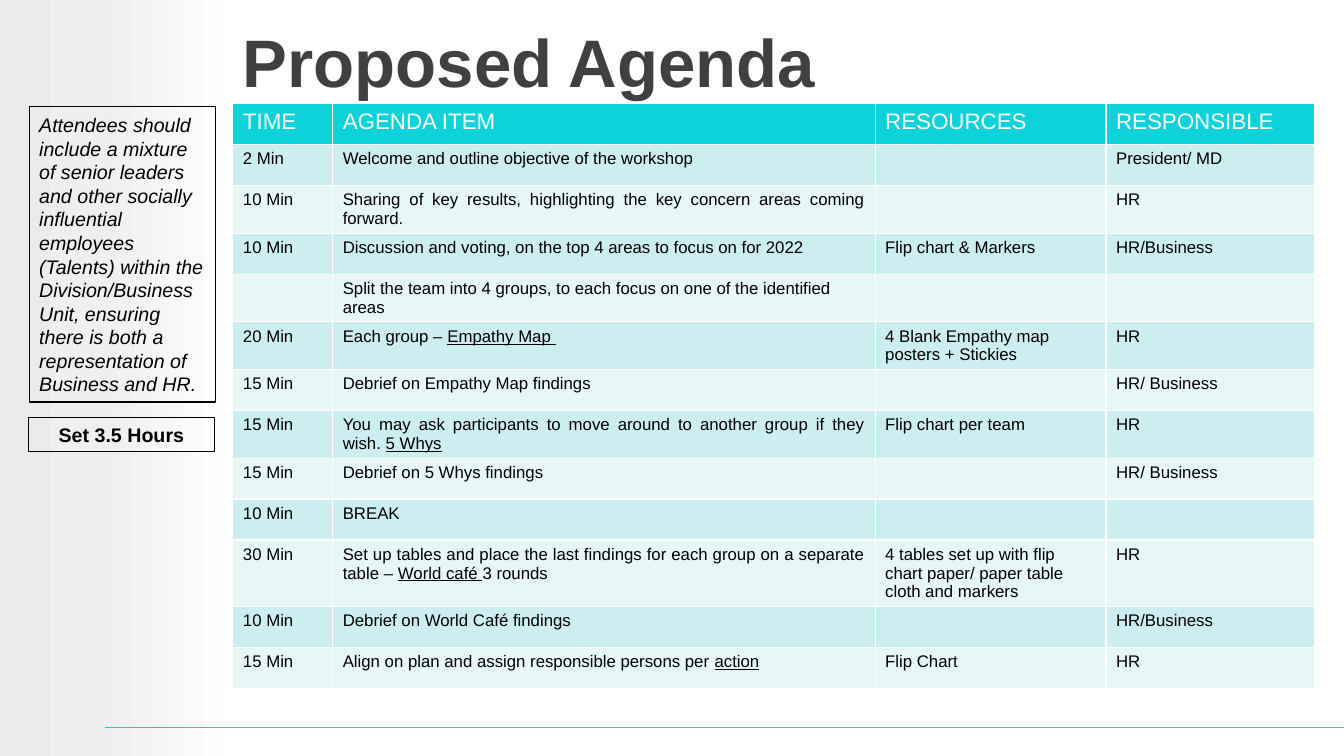
from pptx import Presentation
from pptx.util import Inches, Pt
from pptx.dml.color import RGBColor
from pptx.enum.shapes import MSO_CONNECTOR, MSO_SHAPE
from pptx.enum.text import MSO_ANCHOR, MSO_AUTO_SIZE, PP_ALIGN
from pptx.oxml import parse_xml
from pptx.oxml.ns import nsdecls
from copy import deepcopy

LEFT, CENTER, JUSTIFY = PP_ALIGN.LEFT, PP_ALIGN.CENTER, PP_ALIGN.JUSTIFY
WHITE = RGBColor(0xFF, 0xFF, 0xFF)
BLACK = RGBColor(0, 0, 0)
DARK = RGBColor(0x40, 0x40, 0x40)
TEAL = RGBColor(0x0D, 0xD2, 0xD9)
BANDS = [RGBColor(0xE7, 0xF7, 0xF8), RGBColor(0xCC, 0xEE, 0xF1)]
GRAYS = [(0, RGBColor(0xEB, 0xEB, 0xEB)),
         (0.42, RGBColor(0xEF, 0xEF, 0xEF)),
         (1, WHITE)]

# Underlined words stand between underscores
AGENDA = [
    ("TIME", "AGENDA ITEM", "RESOURCES", "RESPONSIBLE"),
    ("2 Min", "Welcome and outline objective of the workshop", "", "President/ MD"),
    ("10 Min", "Sharing of key results, highlighting the key concern areas coming forward.",
     "", "HR"),
    ("10 Min", "Discussion and voting, on the top 4 areas to focus on for 2022",
     "Flip chart & Markers", "HR/Business"),
    ("", "Split the team into 4 groups, to each focus on one of the identified areas", "", ""),
    ("20 Min", "Each group – _Empathy Map _", "4 Blank Empathy map posters + Stickies", "HR"),
    ("15 Min", "Debrief on Empathy Map findings", "", "HR/ Business"),
    ("15 Min", "You may ask participants to move around to another group if they wish. _5 Whys_",
     "Flip chart per team", "HR"),
    ("15 Min", "Debrief on 5 Whys findings", "", "HR/ Business"),
    ("10 Min", "BREAK", "", ""),
    ("30 Min", "Set up tables and place the last findings for each group on a separate table – "
     "_World café _3 rounds",
     "4 tables set up with flip chart paper/ paper table cloth and markers", "HR"),
    ("10 Min", "Debrief on World Café findings", "", "HR/Business"),
    ("15 Min", "Align on plan and assign responsible persons per _action_", "Flip Chart", "HR"),
]
SPLIT_ROW = 4
WIDTHS = [0.99, 5.38, 2.29, 2.07]
ROW = Inches(5.27 / len(AGENDA))
NOTES = [
    (0.29, 1.06, 2.93, 1, LEFT, False,
     "Attendees should include a mixture of senior leaders and other socially influential "
     "employees (Talents) within the Division/Business Unit, ensuring there is both a "
     "representation of Business and HR."),
    (0.28, 4.14, 0.34, 0.75, CENTER, True, "Set 3.5 Hours"),
]


def style(font, size, color, bold=False):
    font.name = "Arial"
    font.size = Pt(size)
    font.color.rgb = color
    font.bold = bold


prs = Presentation()
prs.slide_width = Inches(13.33)
prs.slide_height = Inches(7.5)
slide = prs.slides.add_slide(prs.slide_layouts[5])
shapes = slide.shapes

# Side panel and footer rule, behind the title
panel = shapes.add_shape(MSO_SHAPE.RECTANGLE, 0, 0, Inches(2.36), Inches(7.5))
panel.shadow.inherit = False
panel.line.fill.background()
panel.fill.gradient()
panel.fill.gradient_angle = 0
stop_list = panel.fill._fill._gradFill.gsLst
stop_list.insert(1, deepcopy(stop_list[0]))
for stop, (place, gray) in zip(panel.fill.gradient_stops, GRAYS):
    stop.position = place
    stop.color.rgb = gray

rule = shapes.add_connector(MSO_CONNECTOR.STRAIGHT, Inches(1.04), Inches(7.22),
                            Inches(13.33), Inches(7.22))
rule.line.color.rgb = TEAL
rule.line.width = Pt(1)
rule._element.spPr.append(parse_xml(f"<a:effectLst {nsdecls('a')}/>"))

title = shapes.title
rule._element.addnext(title._element)
title.left, title.top = Inches(2.31), Inches(0.04)
title.width, title.height = Inches(11.02), Inches(1.13)
frame = title.text_frame
frame.text = "Proposed Agenda"
frame.auto_size = MSO_AUTO_SIZE.NONE
frame.vertical_anchor = MSO_ANCHOR.MIDDLE
frame.paragraphs[0].alignment = LEFT
style(frame.paragraphs[0].runs[0].font, 48, DARK, True)

# Agenda table
table = shapes.add_table(len(AGENDA), len(WIDTHS), Inches(2.31), Inches(1.03),
                         Inches(sum(WIDTHS)), ROW * len(AGENDA)).table
for col, width in zip(table.columns, WIDTHS):
    col.width = Inches(width)
for r, entry in enumerate(AGENDA):
    table.rows[r].height = ROW
    for c, text in enumerate(entry):
        cell = table.cell(r, c)
        cell.fill.solid()
        cell.fill.fore_color.rgb = BANDS[r % 2] if r else TEAL
        para = cell.text_frame.paragraphs[0]
        if c == 1 and r not in (0, SPLIT_ROW):
            para.alignment = JUSTIFY
        for i, part in enumerate(text.split("_")):
            if part:
                run = para.add_run()
                run.text = part
                style(run.font, 12 if r else 16, BLACK if r else WHITE)
                if i % 2:
                    run.font.underline = True
        for i, side in enumerate(("lnL", "lnR", "lnT", "lnB")):
            cell._tc.get_or_add_tcPr().insert(i, parse_xml(
                f'<a:{side} {nsdecls("a")} w="{Pt(1)}"><a:solidFill>'
                f'<a:srgbClr val="{WHITE}"/></a:solidFill></a:{side}>'))

# Notes beside the table
for left, top, height, weight, align, bold, text in NOTES:
    note = shapes.add_shape(MSO_SHAPE.RECTANGLE, Inches(left), Inches(top),
                            Inches(1.85), Inches(height))
    note.shadow.inherit = False
    note.fill.background()
    note.line.color.rgb = BLACK
    note.line.width = Pt(weight)
    frame = note.text_frame
    frame.word_wrap = True
    frame.auto_size = MSO_AUTO_SIZE.SHAPE_TO_FIT_TEXT
    frame.text = text
    frame.paragraphs[0].alignment = align
    font = frame.paragraphs[0].runs[0].font
    style(font, 14, BLACK, bold)
    font.italic = not bold

prs.save("out.pptx")
